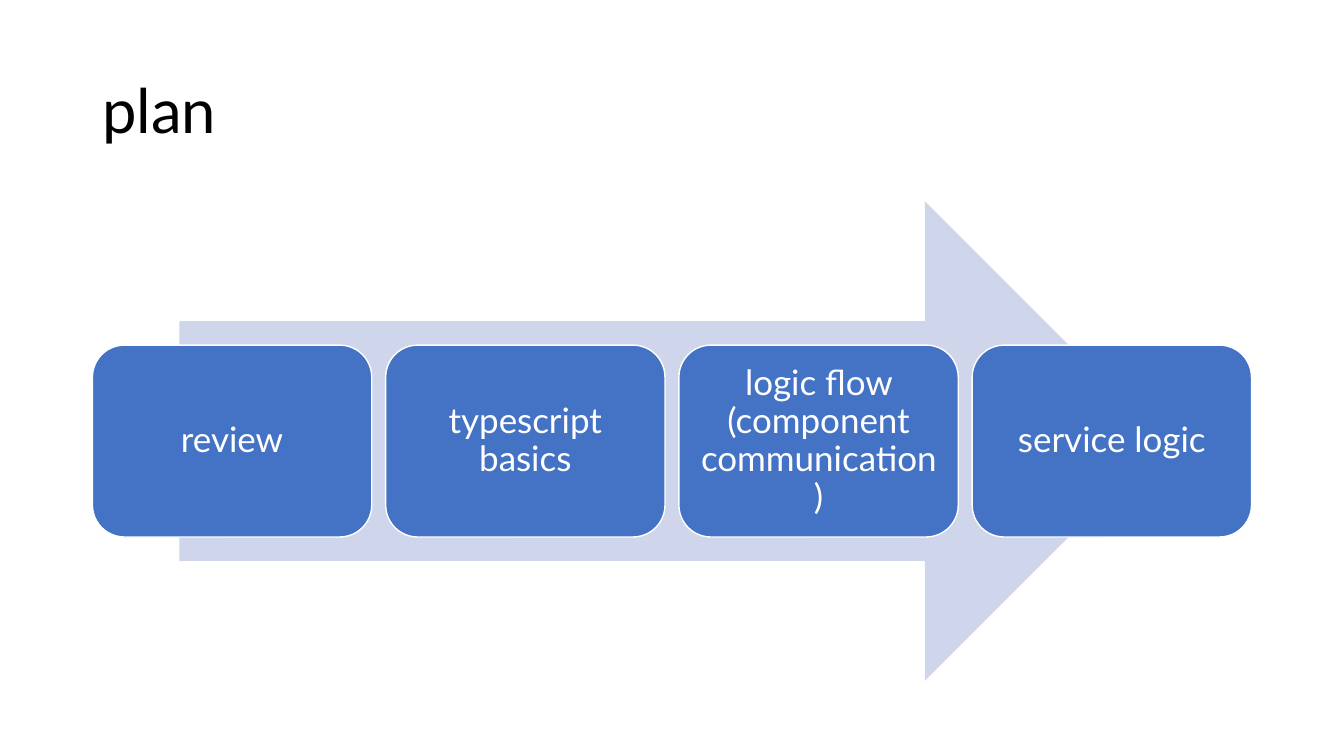
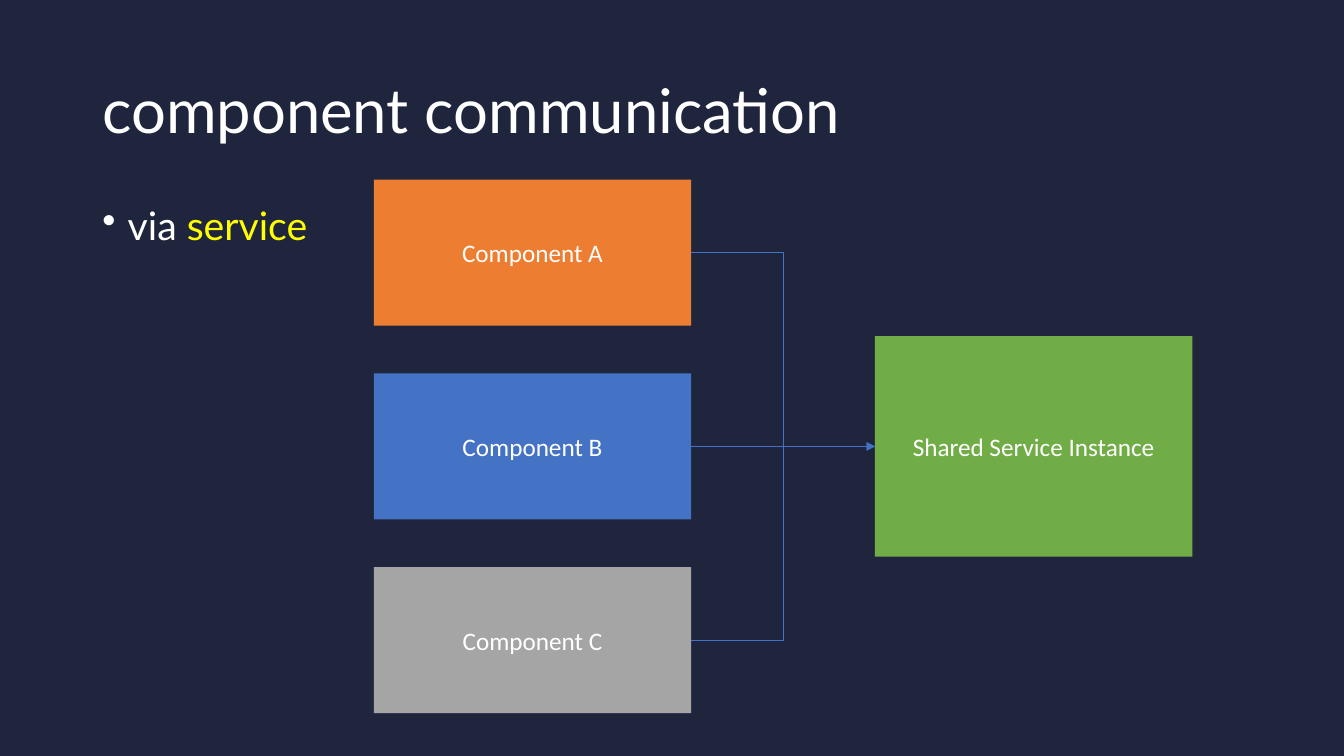
"""Build a plan slide and a slide on component communication."""
from dataclasses import dataclass

import lxml.etree
import pptx
import pptx.dml.color
import pptx.enum.shapes
import pptx.enum.text
import pptx.oxml.ns
import pptx.util

Cm = pptx.util.Cm
Pt = pptx.util.Pt
KIND = pptx.enum.shapes.MSO_SHAPE
LINK = pptx.enum.shapes.MSO_CONNECTOR
ANCHOR = pptx.enum.text.MSO_ANCHOR
qn = pptx.oxml.ns.qn


@dataclass(frozen=True)
class Theme:
    black: str = "000000"
    white: str = "FFFFFF"
    navy: str = "1F253D"
    yellow: str = "FFFF00"
    pale: str = "CFD5EA"
    blue: str = "4472C4"
    orange: str = "ED7D31"
    gray: str = "A5A5A5"
    green: str = "70AD47"
    head: str = "Lato"
    label: str = "Calibri"
    title: int = 44
    body: int = 28
    step: int = 25
    box: int = 18


T = Theme()

PLAN = {
    "title": "plan",
    "steps": ["review", "typescript basics",
              "logic flow (component communication)", "service logic"],
}
TALK = {
    "title": "component communication",
    "point": [("via ", T.white), ("service", T.yellow)],
    "parts": [("Component A", T.orange, False),
              ("Component B", T.blue, True),
              ("Component C", T.gray, True)],
    "hub": "Shared Service Instance",
}

LEFT, WIDE = 2.33, 29.21
TOP, TALL = 5.07, 12.09


def rgb(code):
    return pptx.dml.color.RGBColor.from_string(code)


def style(para, face, size, color=None, space=None):
    para.font.name = face
    para.font.size = Pt(size)
    if color:
        para.font.color.rgb = rgb(color)
    if space:
        para.line_spacing = space


def add_text(slide, x, y, w, h, anchor):
    frame = slide.shapes.add_textbox(Cm(x), Cm(y), Cm(w), Cm(h)).text_frame
    frame.word_wrap = True
    frame.vertical_anchor = anchor
    return frame.paragraphs[0]


def add_slide(deck, title, back, ink):
    slide = deck.slides.add_slide(deck.slide_layouts[6])
    slide.background.fill.solid()
    slide.background.fill.fore_color.rgb = rgb(back)
    para = add_text(slide, LEFT, 1.01, WIDE, 3.68, ANCHOR.MIDDLE)
    para.text = title
    style(para, T.head, T.title, ink, 0.9)
    return slide


def add_box(slide, kind, x, y, w, h, fill, edge=None):
    box = slide.shapes.add_shape(kind, Cm(x), Cm(y), Cm(w), Cm(h))
    box.shadow.inherit = False
    box.fill.solid()
    box.fill.fore_color.rgb = rgb(fill)
    if edge:
        box.line.color.rgb = rgb(edge)
        box.line.width = Pt(1)
    else:
        box.line.fill.background()
    return box


def write(box, text, face, size, space=None):
    frame = box.text_frame
    frame.word_wrap = True
    frame.vertical_anchor = ANCHOR.MIDDLE
    para = frame.paragraphs[0]
    para.text = text
    para.alignment = pptx.enum.text.PP_ALIGN.CENTER
    style(para, face, size, T.white, space)


def join(slide, start, end, kind, arrow):
    line = slide.shapes.add_connector(kind, 0, 0, 0, 0)
    line.begin_connect(start, 3)
    line.end_connect(end, 1)
    line.line.color.rgb = rgb(T.blue)
    line.line.width = Pt(0.5)
    props = line.element.spPr
    if arrow:
        lxml.etree.SubElement(props.find(qn("a:ln")), qn("a:tailEnd"), type="triangle")
    lxml.etree.SubElement(props, qn("a:effectLst"))


def add_point(slide, runs):
    para = add_text(slide, LEFT, TOP, WIDE, TALL, ANCHOR.TOP)
    props = para._p.get_or_add_pPr()
    props.set("marL", str(Cm(0.64)))
    props.set("indent", str(-Cm(0.64)))
    lxml.etree.SubElement(props, qn("a:buChar"), char="•")
    style(para, T.head, T.body, T.white, 0.9)
    para.space_before = Pt(10)
    for text, color in runs:
        run = para.add_run()
        run.text = text
        run.font.color.rgb = rgb(color)


def build_plan(deck):
    slide = add_slide(deck, PLAN["title"], T.white, T.black)
    span = 0.85 * WIDE
    add_box(slide, KIND.RIGHT_ARROW, LEFT + (WIDE - span) / 2, TOP, span, TALL, T.pale)
    steps, gap, high = PLAN["steps"], 0.35, 0.4 * TALL
    wide = (WIDE - gap * (len(steps) - 1)) / len(steps)
    for i, text in enumerate(steps):
        box = add_box(slide, KIND.ROUNDED_RECTANGLE, LEFT + i * (wide + gap),
                      TOP + (TALL - high) / 2, wide, high, T.blue, T.white)
        frame = box.text_frame
        frame.margin_left = frame.margin_right = Cm(0.25)
        frame.margin_top = frame.margin_bottom = Cm(0.25)
        write(box, text, T.head, T.step, 0.9)


def build_talk(deck):
    slide = add_slide(deck, TALK["title"], T.navy, T.white)
    add_point(slide, TALK["point"])
    parts, wide, high, tall = TALK["parts"], 8, 3.68, 5.56
    first, pitch = 4.53, 4.88
    mid = len(parts) // 2
    axis = first + mid * pitch + high / 2
    hub = add_box(slide, KIND.RECTANGLE, 22.05, axis - tall / 2, wide, tall, T.green)
    write(hub, TALK["hub"], T.label, T.box)
    for i, (text, fill, arrow) in enumerate(parts):
        box = add_box(slide, KIND.RECTANGLE, 9.42, first + i * pitch, wide, high, fill)
        write(box, text, T.label, T.box)
        join(slide, box, hub, LINK.STRAIGHT if i == mid else LINK.ELBOW, arrow)


def main():
    deck = pptx.Presentation()
    deck.slide_width, deck.slide_height = Cm(33.87), Cm(19.05)
    build_plan(deck)
    build_talk(deck)
    deck.save("out.pptx")


if __name__ == "__main__":
    main()
